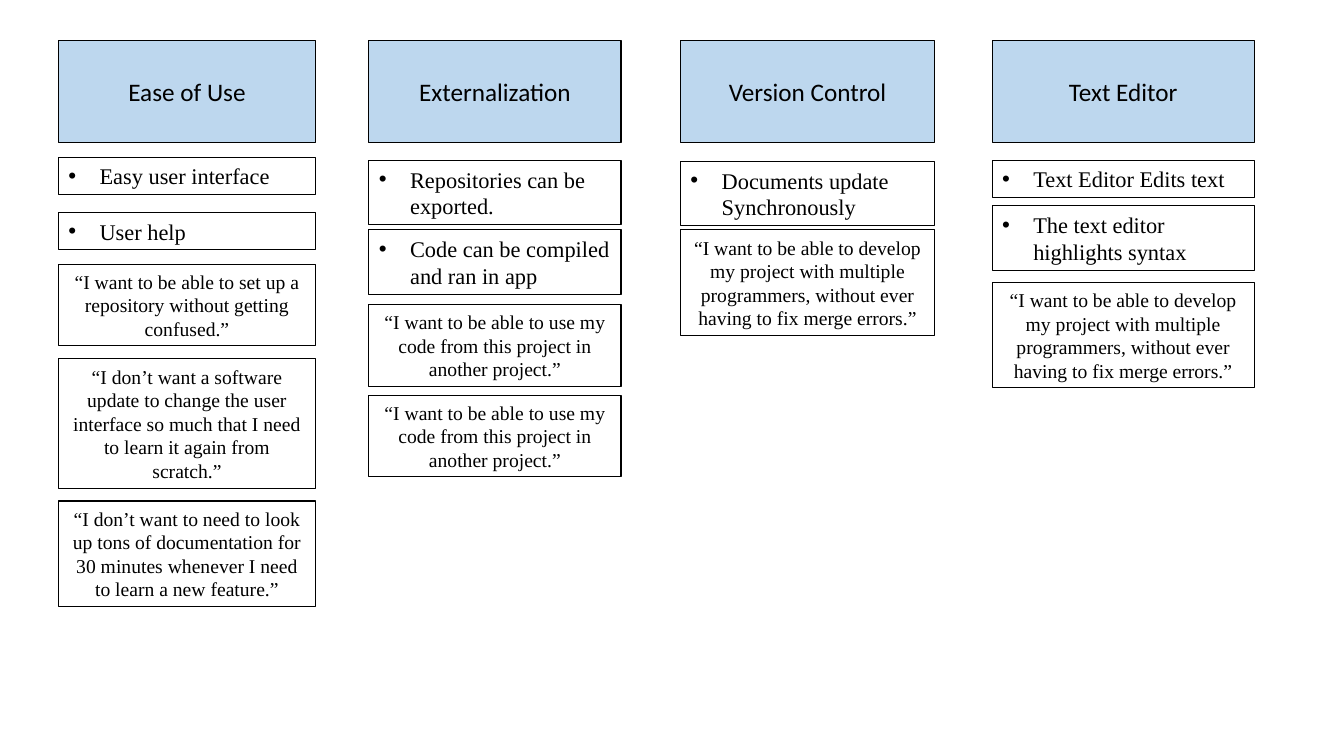
from lxml import etree
from pptx import Presentation
from pptx.dml.color import RGBColor
from pptx.enum import shapes, text
from pptx.oxml import ns
from pptx.util import Inches, Pt

BLACK = RGBColor(0x00, 0x00, 0x00)
HEADER_BLUE = RGBColor(0xBD, 0xD7, 0xEE)
SERIF = "Times New Roman"
INDENT = Inches(0.31)

MERGE_QUOTE = (
    "“I want to be able to develop my project with multiple programmers, "
    "without ever having to fix merge errors.”"
)
REUSE_QUOTE = "“I want to be able to use my code from this project in another project.”"

# left, width, heading, features (top, lines, wording), quotes (top, lines, wording)
COLUMNS = [
    (0.58, 2.55, "Ease of Use",
     [(1.56, 1, "Easy user interface"),
      (2.11, 1, "User help")],
     [(2.62, 3, "“I want to be able to set up a repository without getting confused.”"),
      (3.56, 5, "“I don’t want a software update to change the user interface "
                "so much that I need to learn it again from scratch.”"),
      (4.97, 4, "“I don’t want to need to look up tons of documentation for "
                "30 minutes whenever I need to learn a new feature.”")]),
    (3.66, 2.5, "Externalization",
     [(1.59, 2, "Repositories can be exported."),
      (2.28, 2, "Code can be compiled and ran in app")],
     [(3.02, 3, REUSE_QUOTE),
      (3.92, 3, REUSE_QUOTE)]),
    (6.75, 2.52, "Version Control",
     [(1.6, 2, "Documents update Synchronously")],
     [(2.28, 4, MERGE_QUOTE)]),
    (9.84, 2.6, "Text Editor",
     [(1.59, 1, "Text Editor Edits text"),
      (2.04, 2, "The text editor highlights syntax")],
     [(2.8, 4, MERGE_QUOTE)]),
]

presentation = Presentation()
presentation.slide_width = Inches(13.33)
presentation.slide_height = Inches(7.5)
slide = presentation.slides.add_slide(presentation.slide_layouts[6])


def add_box(left, top, width, height, wording, font_name, size, fill=None):
    shape = slide.shapes.add_shape(
        shapes.MSO_SHAPE.RECTANGLE,
        Inches(left), Inches(top), Inches(width), Inches(height),
    )
    shape.shadow.inherit = False
    shape.line.color.rgb = BLACK
    shape.line.width = Pt(0.75)
    if fill is None:
        shape.fill.background()
    else:
        shape.fill.solid()
        shape.fill.fore_color.rgb = fill
    frame = shape.text_frame
    frame.word_wrap = True
    frame.vertical_anchor = text.MSO_ANCHOR.MIDDLE
    paragraph = frame.paragraphs[0]
    paragraph.text = wording
    paragraph.alignment = text.PP_ALIGN.CENTER
    paragraph.font.name = font_name
    paragraph.font.size = Pt(size)
    paragraph.font.color.rgb = BLACK
    return paragraph


def add_bullet(paragraph):
    paragraph.alignment = text.PP_ALIGN.LEFT
    properties = paragraph._p.get_or_add_pPr()
    properties.set("marL", str(INDENT))
    properties.set("indent", str(-INDENT))
    bullet_font = etree.Element(ns.qn("a:buFont"), typeface="Arial")
    bullet = etree.Element(ns.qn("a:buChar"), char="•")
    properties.insert(0, bullet_font)
    properties.insert(1, bullet)


for left, width, heading, features, quotes in COLUMNS:
    add_box(left, 0.4, width, 1.01, heading, "Calibri", 18, HEADER_BLUE)
    for top, lines, wording in features:
        add_bullet(add_box(left, top, width, 0.1 + 0.27 * lines, wording, SERIF, 16))
    for top, lines, wording in quotes:
        add_box(left, top, width, 0.1 + 0.71 * lines / 3, wording, SERIF, 14)

presentation.save("out.pptx")
